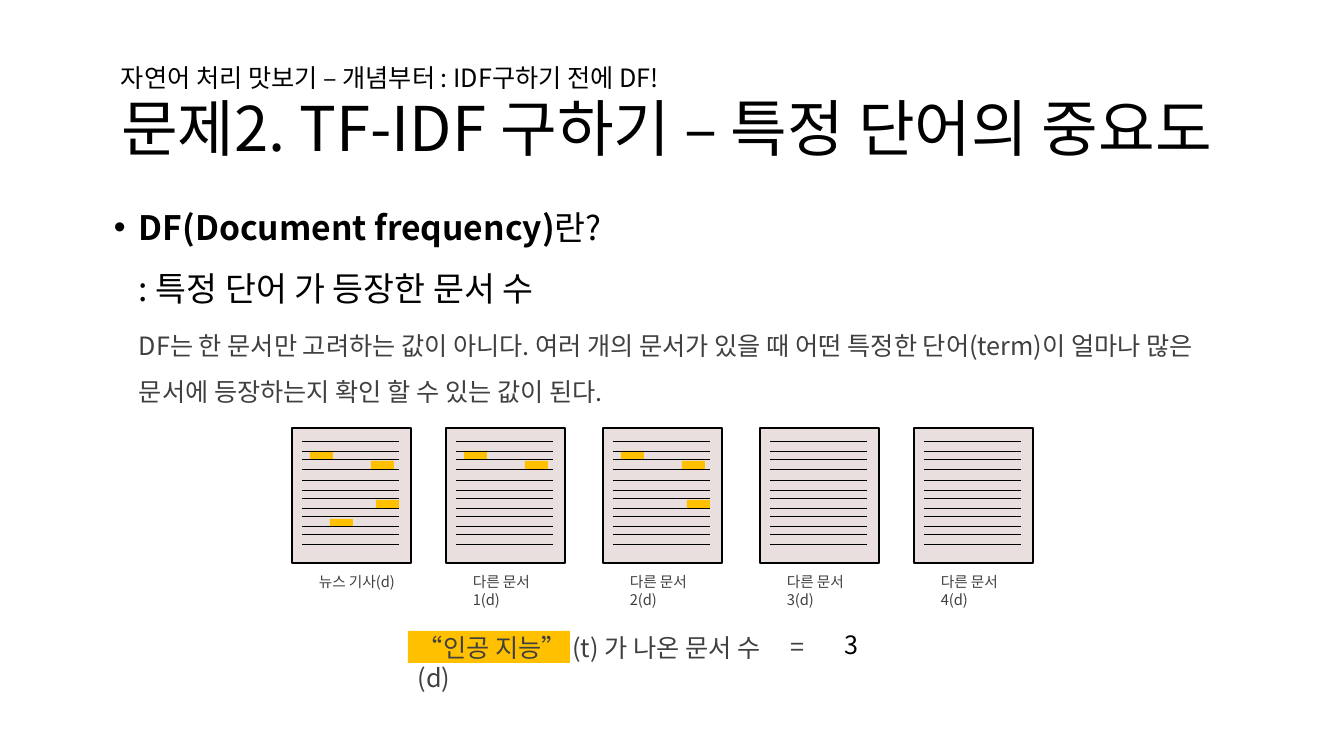
from dataclasses import dataclass

from lxml.etree import SubElement
from pptx import Presentation
from pptx.dml.color import RGBColor
from pptx.enum.shapes import MSO_CONNECTOR as Connector, MSO_SHAPE as Shape
from pptx.enum.text import MSO_ANCHOR as Anchor, MSO_AUTO_SIZE as AutoSize, PP_ALIGN as Align
from pptx.oxml.ns import qn
from pptx.util import Emu, Pt

EMU_PER_PIXEL = 914400 / 100.8


@dataclass(frozen=True)
class Theme:
    """Fonts, colours and type sizes of the slide."""
    font: str = "Noto Sans CJK KR"
    ink: str = "000000"
    soft: str = "404040"
    paper: str = "E9DFDF"
    mark: str = "FFC000"
    title: float = 44
    heading: float = 24
    body: float = 18
    caption: float = 10.5


def px(length):
    """Turn whole pixels into EMU."""
    return Emu(round(length * EMU_PER_PIXEL))


class SlideBuilder:
    """Holds the theme and the current slide and adds elements to it."""

    def __init__(self, deck, theme):
        """Open a title-only slide in the deck."""
        self.theme = theme
        self.slide = deck.slides.add_slide(deck.slide_layouts[5])

    def add_span(self, para, text, size, color, bold=False):
        """Append one formatted run to a paragraph."""
        span = para.add_run()
        span.text = text
        span.font.name = self.theme.font
        span.font.size = Pt(size)
        span.font.bold = bold
        span.font.color.rgb = RGBColor.from_string(color)
        SubElement(span.font._element, qn("a:ea")).set("typeface", self.theme.font)

    def add_title(self, left, top, width, height, text, inset):
        """Place and format the title placeholder."""
        title = self.slide.shapes.title
        title.left, title.top, title.width, title.height = map(px, (left, top, width, height))
        frame = title.text_frame
        frame.auto_size = AutoSize.NONE
        frame.vertical_anchor = Anchor.TOP
        frame.margin_top = px(inset)
        para = frame.paragraphs[0]
        para.alignment = Align.LEFT
        para.line_spacing = 0.9
        self.add_span(para, text, self.theme.title, self.theme.ink)

    def add_text(self, left, top, width, height, text="", size=None, color=None,
                 spacing=None, anchor=Anchor.TOP):
        """Add a wrapping text box and return its paragraph."""
        box = self.slide.shapes.add_textbox(*map(px, (left, top, width, height)))
        frame = box.text_frame
        frame.word_wrap = True
        frame.vertical_anchor = anchor
        para = frame.paragraphs[0]
        para.line_spacing = spacing
        if text:
            self.add_span(para, text, size or self.theme.body, color or self.theme.soft)
        return para

    def add_bullet(self, para, indent, hanging):
        """Give a paragraph a hanging round bullet."""
        properties = para._p.get_or_add_pPr()
        properties.set("marL", str(px(indent)))
        properties.set("indent", str(-px(hanging)))
        SubElement(properties, qn("a:buFont")).set("typeface", "Arial")
        SubElement(properties, qn("a:buChar")).set("char", "•")

    def add_box(self, left, top, width, height, fill, outlined=False):
        """Add a filled rectangle, with a thin outline if wanted."""
        box = self.slide.shapes.add_shape(Shape.RECTANGLE, *map(px, (left, top, width, height)))
        box.shadow.inherit = False
        box.fill.solid()
        box.fill.fore_color.rgb = RGBColor.from_string(fill)
        if outlined:
            box.line.color.rgb = RGBColor.from_string(self.theme.ink)
            box.line.width = Pt(1)
        else:
            box.line.fill.background()

    def add_rule(self, left, top, width):
        """Add a thin horizontal line."""
        rule = self.slide.shapes.add_connector(
            Connector.STRAIGHT, *map(px, (left, top, left + width, top)))
        rule.line.color.rgb = RGBColor.from_string(self.theme.ink)
        rule.line.width = Pt(0.5)
        SubElement(rule._element.spPr, qn("a:effectLst"))

    def add_document(self, left, top, caption, marks):
        """Add a ruled page with highlighted words and a caption."""
        self.add_box(left, top, 119, 135, self.theme.paper, outlined=True)
        self.add_text(left + 17, top + 140, 100, 21, caption, self.theme.caption)
        for across, down in marks:
            self.add_box(left + across, top + down, 23, 8, self.theme.mark)
        for pair_top in (13, 31, 52, 70, 88, 106):
            for offset in (0, 10):
                self.add_rule(left + 10, top + pair_top + offset, 97)


def main():
    """Build the slide and save the deck."""
    deck = Presentation()
    deck.slide_width, deck.slide_height = px(1344), px(756)
    theme = Theme()
    page = SlideBuilder(deck, theme)

    page.add_title(111, 78, 1159, 192, "문제2. TF-IDF 구하기 – 특정 단어의 중요도", inset=20)
    heading = page.add_text(53, 182, 1273, 143, spacing=1.5)
    heading.space_before = Pt(5)
    page.add_bullet(heading, indent=76, hanging=25)
    page.add_span(heading, "DF(Document frequency)", theme.heading, theme.ink, bold=True)
    page.add_span(heading, "란?", theme.heading, theme.ink)
    heading.add_line_break()
    page.add_span(heading, ": 특정 단어 가 등장한 문서 수", theme.heading, theme.ink)

    page.add_text(111, 57, 682, 40, "자연어 처리 맛보기 – 개념부터 : IDF구하기 전에 DF!", color=theme.ink)
    page.add_text(129, 313, 1123, 96,
                  "DF는 한 문서만 고려하는 값이 아니다. 여러 개의 문서가 있을 때 어떤 특정한 "
                  "단어(term)이 얼마나 많은 문서에 등장하는지 확인 할 수 있는 값이 된다.",
                  spacing=1.5, anchor=Anchor.MIDDLE)

    page.add_text(781, 626, 155, 40, "=")
    page.add_box(408, 631, 162, 32, theme.mark)
    page.add_text(408, 627, 369, 40, "“인공 지능” (t) 가 나온 문서 수(d)")
    page.add_text(835, 624, 49, 40, "3", color=theme.ink)

    word_marks = ((79, 33), (18, 23), (84, 72), (38, 91))
    documents = (
        (292, "뉴스 기사(d)", 4),
        (446, "다른 문서1(d)", 2),
        (603, "다른 문서2(d)", 3),
        (760, "다른 문서3(d)", 0),
        (914, "다른 문서4(d)", 0),
    )
    for left, caption, mark_count in documents:
        page.add_document(left, 428, caption, word_marks[:mark_count])

    deck.save("out.pptx")


main()
